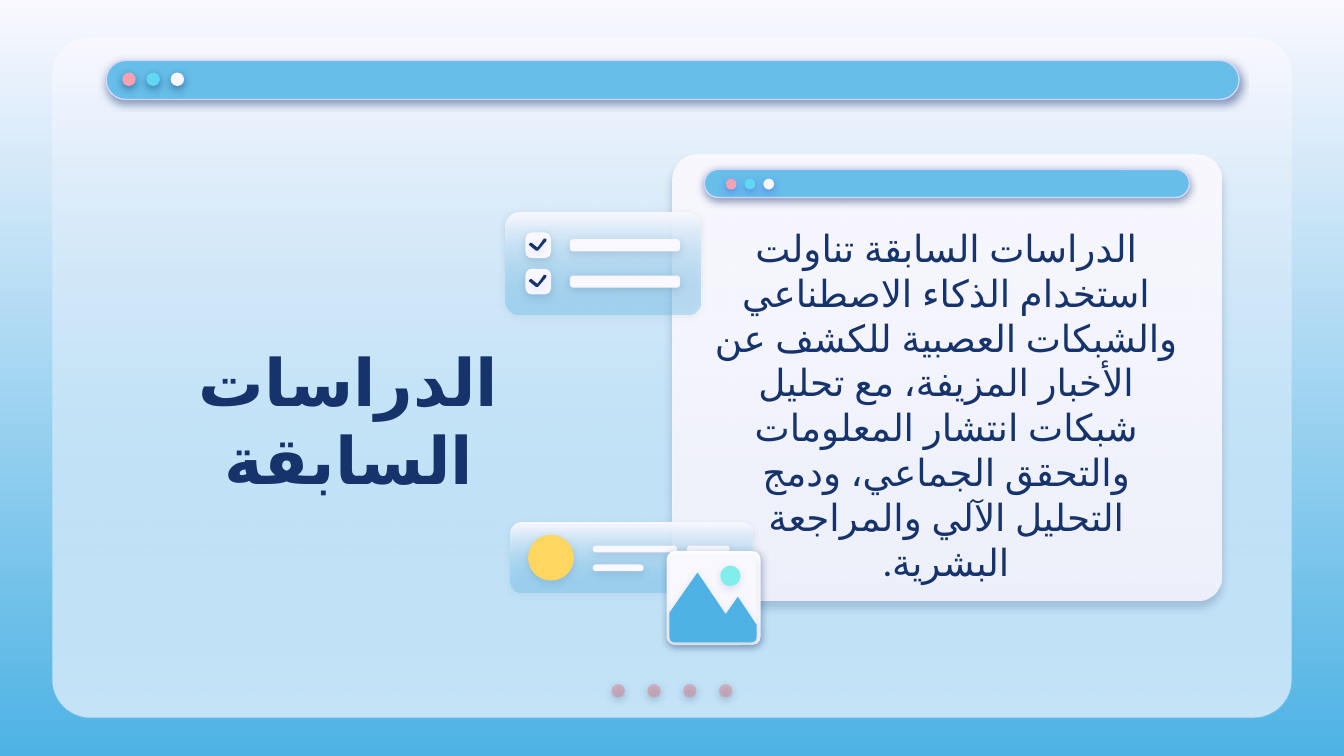
"""Build the previous-studies slide with its window panels and cards."""
from lxml import etree
from pptx import Presentation
from pptx.dml.color import RGBColor
from pptx.enum.lang import MSO_LANGUAGE_ID
from pptx.enum.shapes import MSO_SHAPE
from pptx.enum.text import MSO_ANCHOR, MSO_AUTO_SIZE, PP_ALIGN
from pptx.oxml.ns import qn
from pptx.util import Inches, Pt

NAVY = RGBColor(0x17, 0x33, 0x6B)
VIOLET = RGBColor(0x53, 0x52, 0xEE)
PALE = RGBColor(0xF9, 0xF8, 0xFF)
WHITE = RGBColor(0xFF, 0xFF, 0xFF)
SKY = RGBColor(0x66, 0xBE, 0xE9)
BLUE = RGBColor(0x4E, 0xB3, 0xE4)
LILAC = RGBColor(0xD2, 0xD6, 0xFF)
PINK = RGBColor(0xFD, 0xA0, 0xB4)
CYAN = RGBColor(0x60, 0xD8, 0xF4)
ROSE = RGBColor(0xE2, 0x7B, 0x83)
YELLOW = RGBColor(0xFF, 0xD6, 0x5F)
MINT = RGBColor(0x81, 0xEE, 0xEB)
ROUND, OVAL = MSO_SHAPE.ROUNDED_RECTANGLE, MSO_SHAPE.OVAL
FONT = "Lato"

presentation = Presentation()
presentation.slide_width = Inches(10)
presentation.slide_height = Inches(10) * 9 // 16
slide = presentation.slides.add_slide(presentation.slide_layouts[5])
shapes = slide.shapes


def fill_downward(fill, end):
    fill.gradient()
    fill.gradient_angle = 270
    for stop, color, position in zip(fill.gradient_stops, (PALE, end), (0, 1)):
        stop.color.rgb = color
        stop.position = position


def add_piece(geometry, box, fill, shadow=None, radius=None, opacity=100,
              gradient=False, line=None):
    if isinstance(geometry, list):
        points = [(Inches(box[0] + x), Inches(box[1] + y)) for x, y in geometry]
        builder = shapes.build_freeform(*points[0])
        builder.add_line_segments(points[1:], close=True)
        shape = builder.convert_to_shape()
    else:
        shape = shapes.add_shape(geometry, *[Inches(value) for value in box])
    if radius is not None:
        shape.adjustments[0] = radius
    if gradient:
        fill_downward(shape.fill, fill)
    else:
        shape.fill.solid()
        shape.fill.fore_color.rgb = fill
    if opacity < 100:
        last_color = list(shape.element.iter(qn("a:srgbClr")))[-1]
        etree.SubElement(last_color, qn("a:alpha"), val=str(opacity * 1000))
    if line:
        shape.line.color.rgb = line
        shape.line.width = Pt(0.75)
    else:
        shape.line.fill.background()
    shape.shadow.inherit = False
    if shadow:
        color, strength, distance, angle = shadow
        effects = shape.element.spPr.find(qn("a:effectLst"))
        outer = etree.SubElement(
            effects, qn("a:outerShdw"), blurRad=str(Pt(4.5)), dist=str(Pt(distance)),
            dir=str(angle * 60000), algn="bl", rotWithShape="0")
        tint = etree.SubElement(outer, qn("a:srgbClr"), val=str(color))
        etree.SubElement(tint, qn("a:alpha"), val=str(strength * 1000))


fill_downward(slide.background.fill, BLUE)

strong = (NAVY, 50, 1.5, 90)
panel_box = (0.39, 0.28, 9.22, 5.06)
add_piece(ROUND, panel_box, PALE, radius=0.056)
add_piece(ROUND, panel_box, SKY, radius=0.056, opacity=35, gradient=True)
for index in range(4):
    add_piece(OVAL, (4.55 + 0.8 * index / 3, 5.09, 0.1, 0.1), ROSE, strong, opacity=44)

title = shapes.title
shapes.element.append(title.element)
add_piece(ROUND, (5, 1.15, 4.09, 3.32), PALE, (NAVY, 22, 3.8, 91), 0.056, 87, True)

window_bars = [
    ((0.79, 0.45, 8.43, 0.29), 0.91, 0.54, 0.18, 0.1, NAVY),
    ((5.24, 1.26, 3.61, 0.21), 5.4, 1.33, 0.14, 0.08, VIOLET),
]
for bar, left, top, step, size, shade in window_bars:
    add_piece(ROUND, bar, SKY, strong, 0.5, line=LILAC)
    for index, color in enumerate((PINK, CYAN, PALE)):
        add_piece(OVAL, (left + step * index, top, size, size), color, (shade, 50, 1.5, 90))

body = shapes.add_textbox(0, 0, 0, 0)
texts = [
    (title, (0.79, 2.34, 3.61, 1.56), "الدراسات السابقة", 35, True, 0),
    (body, (5.15, 1.78, 3.78, 2.46),
     "الدراسات السابقة تناولت استخدام الذكاء الاصطناعي والشبكات العصبية للكشف عن "
     "الأخبار المزيفة، مع تحليل شبكات انتشار المعلومات والتحقق الجماعي، ودمج "
     "التحليل الآلي والمراجعة البشرية.", 20, False, 12),
]
for shape, box, text, size, bold, space_after in texts:
    shape.left, shape.top, shape.width, shape.height = [Inches(value) for value in box]
    frame = shape.text_frame
    frame.text = text
    frame.word_wrap = True
    frame.auto_size = MSO_AUTO_SIZE.NONE
    frame.vertical_anchor = MSO_ANCHOR.MIDDLE
    frame.margin_left = frame.margin_right = Inches(0.1)
    frame.margin_top = frame.margin_bottom = Inches(0.1)
    paragraph = frame.paragraphs[0]
    paragraph.alignment = PP_ALIGN.CENTER
    paragraph.space_after = Pt(space_after)
    paragraph.font.name = FONT
    paragraph.font.size = Pt(size)
    paragraph.font.bold = bold
    paragraph.font.color.rgb = NAVY
    paragraph.runs[0].font.language_id = MSO_LANGUAGE_ID.ARABIC
    properties = paragraph._p.get_or_add_pPr()
    properties.set("rtl", "1")
    etree.SubElement(properties.find(qn("a:defRPr")), qn("a:cs"), typeface=FONT)

soft = (NAVY, 15, 1.5, 90)
tick = [(0.11, 0), (0.06, 0.07), (0.01, 0.03), (0, 0.04), (0.05, 0.08), (0.06, 0.08),
        (0.12, 0.01), (0.12, 0)]
add_piece(ROUND, (3.76, 1.58, 1.45, 0.76), SKY, soft, 0.13, 35, True)
for top in (1.73, 2):
    add_piece(ROUND, (4.24, top + 0.05, 0.82, 0.09), PALE, soft, 0.28)
    add_piece(ROUND, (3.91, top, 0.19, 0.19), PALE, soft, 0.25)
    add_piece(tick, (3.94, top + 0.05), NAVY, (VIOLET, 15, 1.5, 90), line=NAVY)

faint = (NAVY, 13, 1.5, 90)
add_piece(ROUND, (3.8, 3.89, 1.8, 0.52), SKY, faint, 0.15, 35, True)
add_piece(OVAL, (3.93, 3.98, 0.34, 0.34), YELLOW, faint)
for left, top, width in ((4.41, 4.06, 0.63), (5.11, 4.06, 0.32), (4.41, 4.2, 0.38)):
    add_piece(ROUND, (left, top, width, 0.05), PALE, faint, 0.5)

mountains = [(0.21, 0), (0, 0.3), (0, 0.48), (0.01, 0.51), (0.04, 0.52), (0.61, 0.52),
             (0.64, 0.51), (0.65, 0.48), (0.65, 0.39), (0.51, 0.18), (0.42, 0.31)]
add_piece(ROUND, (4.96, 4.1, 0.7, 0.7), WHITE, (NAVY, 33, 1.5, 64), 0.09)
add_piece(ROUND, (4.98, 4.13, 0.65, 0.65), PALE, faint, 0.06)
add_piece(mountains, (4.98, 4.26), BLUE, faint)
add_piece(OVAL, (5.36, 4.21, 0.15, 0.15), MINT, faint)

presentation.save("out.pptx")
